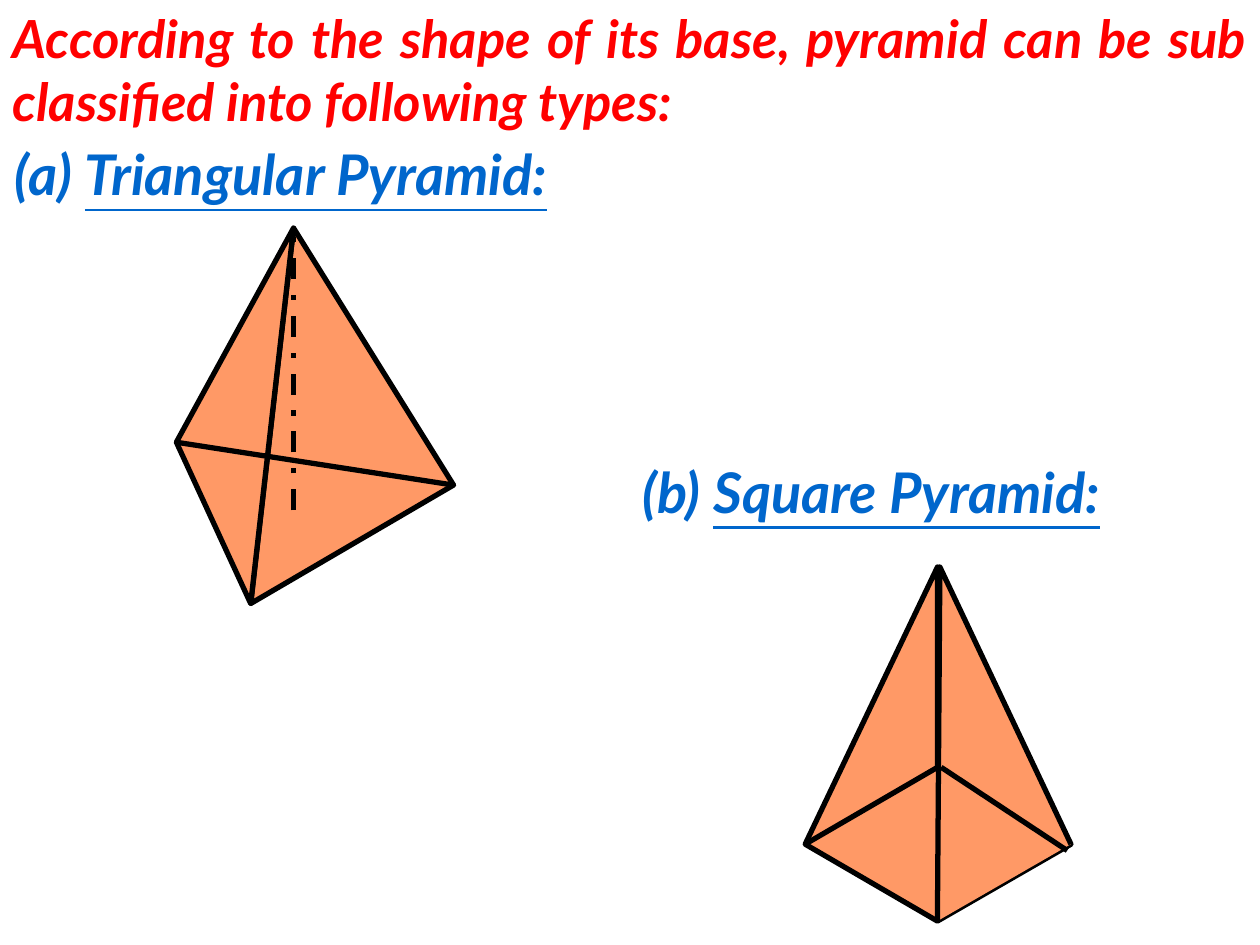
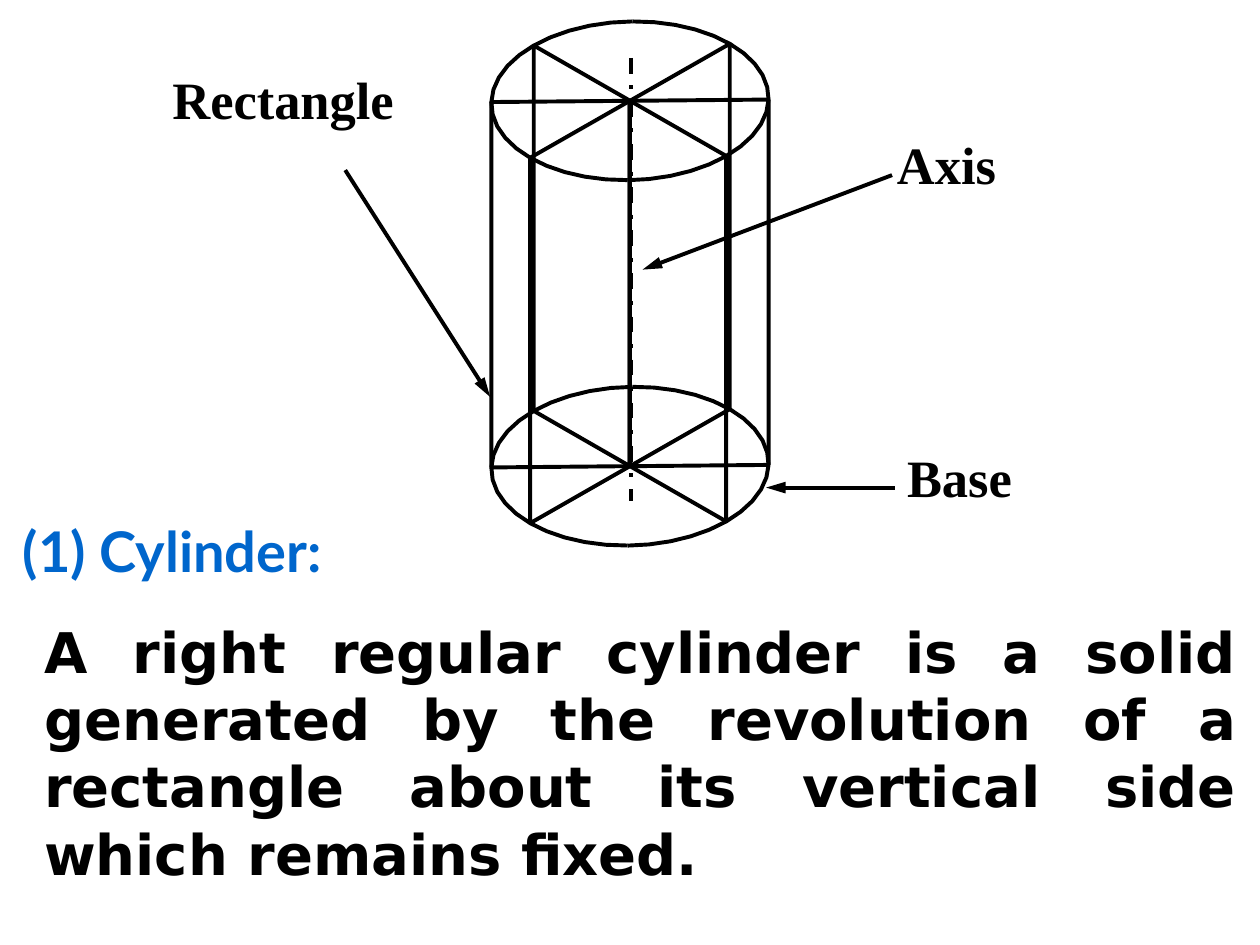
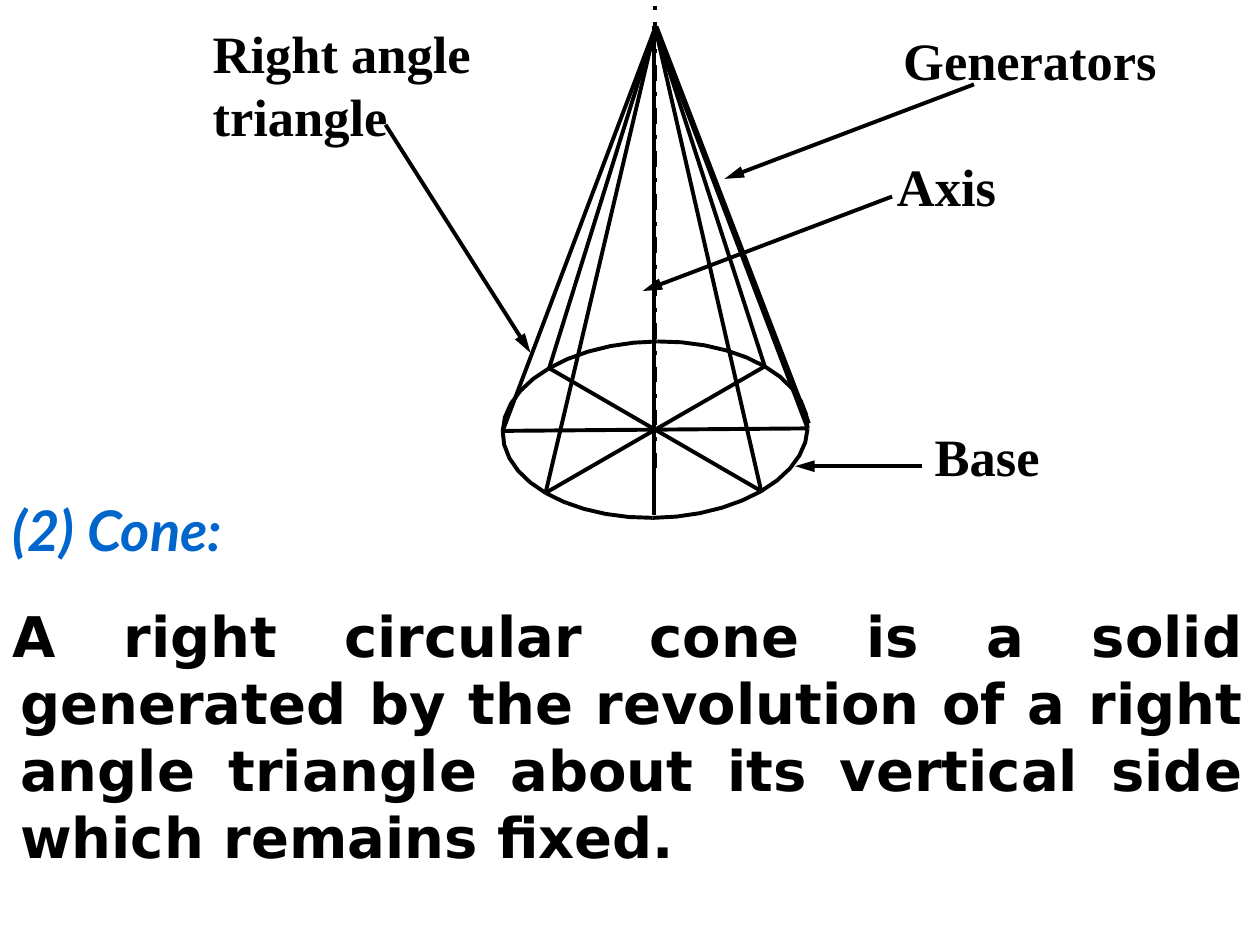
from dataclasses import dataclass
from math import cos, radians, sin

from lxml import etree
from pptx import Presentation
from pptx.dml.color import RGBColor
from pptx.enum.dml import MSO_LINE
from pptx.enum.shapes import MSO_CONNECTOR
from pptx.enum.text import MSO_ANCHOR, MSO_AUTO_SIZE, PP_ALIGN
from pptx.oxml.ns import qn
from pptx.util import Inches, Pt

STRAIGHT = MSO_CONNECTOR.STRAIGHT
DASH_DOT = MSO_LINE.DASH_DOT
TOP = MSO_ANCHOR.TOP
NO_AUTOFIT = MSO_AUTO_SIZE.NONE
LEFT = PP_ALIGN.LEFT
JUSTIFY = PP_ALIGN.JUSTIFY

TITLE_AND_CONTENT = 1
TITLE_ONLY = 5
SPOKE_ANGLES = (0, 45, 135, 180, 225, 315)
ARC_ANGLE = 45
ARC_STEP = 9
SKEW = (0.02, 0.01)


@dataclass(frozen=True)
class TextStyle:
    font: str
    size: int
    color: RGBColor
    italic: bool = False


@dataclass(frozen=True)
class Theme:
    ink = RGBColor(0x00, 0x00, 0x00)
    face = RGBColor(0xFF, 0x99, 0x66)
    blue = RGBColor(0x00, 0x66, 0xCC)
    red = RGBColor(0xFF, 0x00, 0x00)
    thin = 2.25
    thick = 3
    intro = TextStyle("Lato", 30, red, True)
    heading = TextStyle("Lato", 32, blue)
    italic_heading = TextStyle("Lato", 32, blue, True)
    definition = TextStyle("DejaVu Sans", 32, ink)
    label = TextStyle("Times New Roman", 30, ink)


THEME = Theme()


def place(shape, left, top, width, height):
    shape.left, shape.top = Inches(left), Inches(top)
    shape.width, shape.height = Inches(width), Inches(height)


def format_run(run, style):
    font = run.font
    font.name = style.font
    font.size = Pt(style.size)
    font.color.rgb = style.color
    font.bold = True
    font.italic = style.italic


def write(shape, text, style, alignment=JUSTIFY):
    """Fill a text box or placeholder with one paragraph and return it."""
    frame = shape.text_frame
    frame.text = text
    frame.word_wrap = True
    frame.auto_size = NO_AUTOFIT
    frame.vertical_anchor = TOP
    paragraph = frame.paragraphs[0]
    paragraph.alignment = alignment
    paragraph.space_before = Pt(0)
    for run in paragraph.runs:
        format_run(run, style)
    return paragraph


def add_title(slide, text, box, style):
    place(slide.shapes.title, *box)
    write(slide.shapes.title, text, style)


def add_definition(slide, text, box, hanging=0):
    body = slide.placeholders[1]
    place(body, *box)
    paragraph = write(body, text, THEME.definition)
    properties = paragraph._p.get_or_add_pPr()
    properties.set("marL", str(Inches(hanging)))
    properties.set("indent", str(-Inches(hanging)))
    etree.SubElement(properties, qn("a:buNone"))


def add_text(slide, text, box, style, alignment=LEFT):
    text_box = slide.shapes.add_textbox(*map(Inches, box))
    return write(text_box, text, style, alignment)


def add_type_heading(slide, marker, name, box):
    paragraph = add_text(slide, marker, box, THEME.italic_heading, JUSTIFY)
    run = paragraph.add_run()
    run.text = name
    format_run(run, THEME.italic_heading)
    run.font.underline = True


def set_outline(shape, width):
    shape.line.color.rgb = THEME.ink
    shape.line.width = Pt(width)


def add_line(slide, start, end, width=THEME.thin, dash=None, arrow=False):
    connector = slide.shapes.add_connector(STRAIGHT, *map(Inches, (*start, *end)))
    set_outline(connector, width)
    if dash:
        connector.line.dash_style = dash
    properties = connector._element.spPr
    if arrow:
        line = properties.find(qn("a:ln"))
        etree.SubElement(line, qn("a:tailEnd"), type="triangle", w="med", len="lg")
    etree.SubElement(properties, qn("a:effectLst"))


def add_outline(slide, points, width, fill=None, close=True):
    corners = [(Inches(x), Inches(y)) for x, y in points]
    builder = slide.shapes.build_freeform(*corners[0])
    builder.add_line_segments(corners[1:], close=close)
    shape = builder.convert_to_shape()
    shape.shadow.inherit = False
    set_outline(shape, width)
    if fill:
        shape.fill.solid()
        shape.fill.fore_color.rgb = fill
    else:
        shape.fill.background()


def add_face(slide, points, close=True):
    add_outline(slide, points, THEME.thick, THEME.face, close)


def rim_point(center, radii, angle):
    """Point on a slightly skewed ellipse, counterclockwise from the right."""
    across, up = cos(radians(angle)), sin(radians(angle))
    x = center[0] + radii[0] * across + SKEW[0] * up
    y = center[1] - radii[1] * up - SKEW[1] * across
    return x, y


def add_rim(slide, center, radii):
    """Draw the ellipse as eight arcs that meet at the spokes."""
    for start in range(0, 360, ARC_ANGLE):
        angles = range(start, start + ARC_ANGLE + 1, ARC_STEP)
        arc = [rim_point(center, radii, angle) for angle in angles]
        add_outline(slide, arc, THEME.thin, close=False)


def add_callout(slide, text, box, start, tip):
    add_text(slide, text, box, THEME.label)
    add_line(slide, start, tip, arrow=True)


def draw_triangular_pyramid(slide):
    apex, left, right, front = (2.33, 1.81), (1.4, 3.51), (3.6, 3.85), (1.99, 4.79)
    add_face(slide, (front, apex, right))
    add_face(slide, (left, apex, front))
    add_line(slide, (2.33, 4.05), apex, THEME.thick, DASH_DOT)
    add_line(slide, right, left, THEME.thick)


def draw_square_pyramid(slide):
    apex, left, right = (7.44, 4.5), (6.39, 6.7), (8.5, 6.7)
    front, back = (7.44, 7.31), (7.44, 6.09)
    add_face(slide, (left, apex, front), close=False)
    add_face(slide, (front, right, back, left))
    add_face(slide, (right, (7.46, 4.5), front), close=False)
    add_line(slide, (7.47, 6.09), (8.47, 6.75), THEME.thick)


def draw_cylinder(slide):
    top, bottom, radii = (5, 0.8), (5, 3.7), (1.1, 0.63)
    for angle in SPOKE_ANGLES:
        upper, lower = (rim_point(center, radii, angle) for center in (top, bottom))
        add_outline(slide, (top, upper, lower, bottom), THEME.thin)
    for center in (top, bottom):
        add_rim(slide, center, radii)
    add_line(slide, (5.01, 0.46), (5.01, 3.98), dash=DASH_DOT)


def draw_cone(slide):
    apex, center, radii = (5.2, 0.22), (5.2, 3.41), (1.21, 0.7)
    add_rim(slide, center, radii)
    add_line(slide, (5.19, 0.21), (5.19, 4.09))
    add_line(slide, (5.2, -0.17), (5.2, 3.72), dash=DASH_DOT)
    for angle in SPOKE_ANGLES:
        foot = rim_point(center, radii, angle)
        add_line(slide, apex, foot)
        add_line(slide, center, foot)
    add_line(slide, (5.21, 0.21), (6.42, 3.36))


def build_pyramid_slide(presentation):
    slide = presentation.slides.add_slide(presentation.slide_layouts[TITLE_ONLY])
    add_title(
        slide,
        "According to the shape of its base, pyramid can be sub classified into following types:",
        (0, 0, 10, 1.1),
        THEME.intro,
    )
    add_type_heading(slide, "(a) ", "Triangular Pyramid:", (0.02, 1.06, 5.5, 0.63))
    add_type_heading(slide, "(b) ", "Square Pyramid:", (5, 3.58, 4.83, 0.63))
    draw_square_pyramid(slide)
    draw_triangular_pyramid(slide)


def build_cylinder_slide(presentation):
    slide = presentation.slides.add_slide(presentation.slide_layouts[TITLE_AND_CONTENT])
    add_title(slide, "(1) Cylinder:", (0.08, 4.05, 3.17, 0.63), THEME.heading)
    add_definition(
        slide,
        "A right regular cylinder is a solid generated by the revolution of a rectangle "
        "about its vertical side which remains fixed.",
        (0.25, 4.85, 9.67, 2.23),
    )
    draw_cylinder(slide)
    add_callout(slide, "Rectangle", (1.27, 0.48, 2.56, 0.6), (2.74, 1.35), (3.89, 3.15))
    add_callout(slide, "Axis", (7.02, 1, 1.08, 0.6), (7.08, 1.39), (5.1, 2.14))
    add_callout(slide, "Base", (7.1, 3.48, 1.08, 0.6), (7.1, 3.87), (6.08, 3.87))


def build_cone_slide(presentation):
    slide = presentation.slides.add_slide(presentation.slide_layouts[TITLE_AND_CONTENT])
    add_title(slide, "(2) Cone:", (0, 3.88, 3.08, 0.63), THEME.italic_heading)
    add_definition(
        slide,
        "A right circular cone is a solid generated by the revolution of a right angle "
        "triangle about its vertical side which remains fixed.",
        (0, 4.72, 9.97, 2.23),
        hanging=0.06,
    )
    draw_cone(slide)
    add_callout(slide, "Right angle triangle", (1.59, 0.12, 2.56, 1.1), (3.06, 0.99), (4.21, 2.8))
    add_callout(slide, "Axis", (7.02, 1.17, 1.08, 0.6), (7.08, 1.56), (5.1, 2.31))
    add_callout(slide, "Base", (7.32, 3.32, 1.08, 0.6), (7.32, 3.7), (6.31, 3.7))
    add_callout(slide, "Generators", (7.07, 0.17, 2.51, 0.6), (7.73, 0.67), (5.75, 1.42))


def main():
    presentation = Presentation()
    presentation.slide_width = Inches(10)
    presentation.slide_height = Inches(7.5)
    build_pyramid_slide(presentation)
    build_cylinder_slide(presentation)
    build_cone_slide(presentation)
    presentation.save("out.pptx")


if __name__ == "__main__":
    main()
